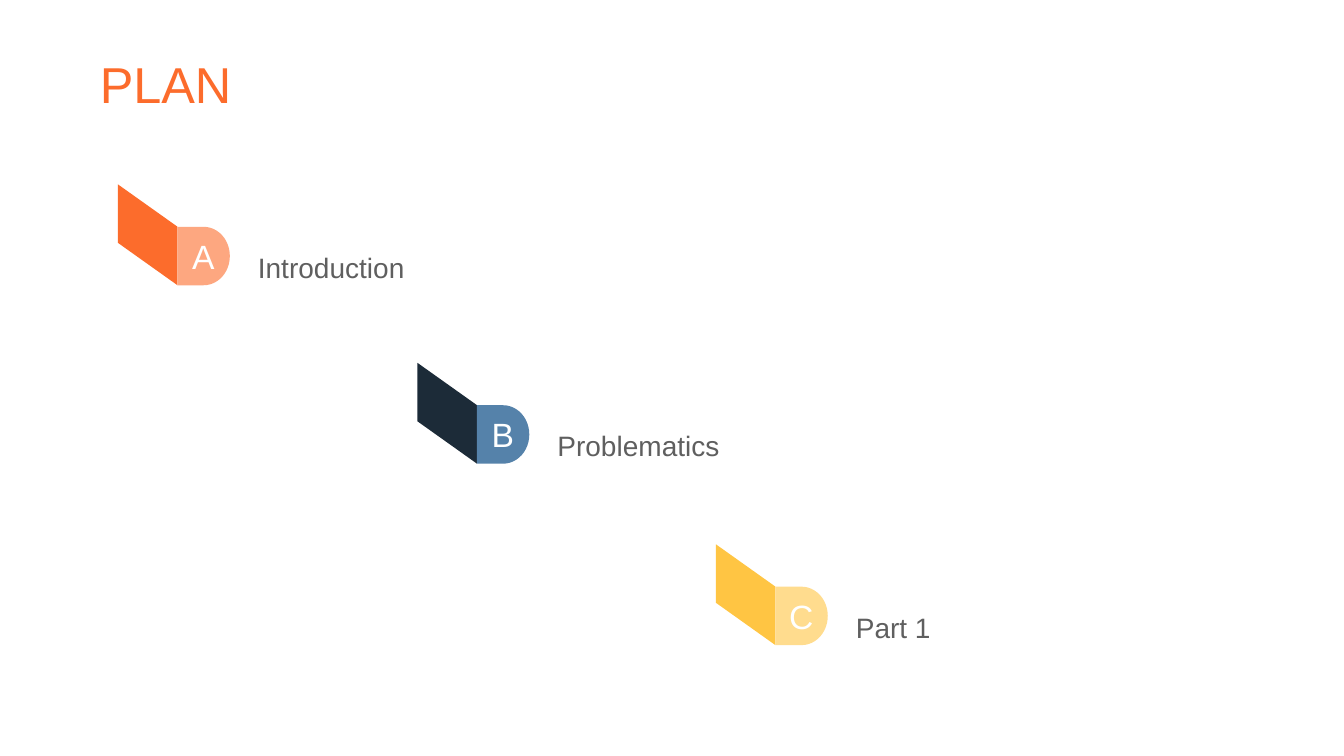
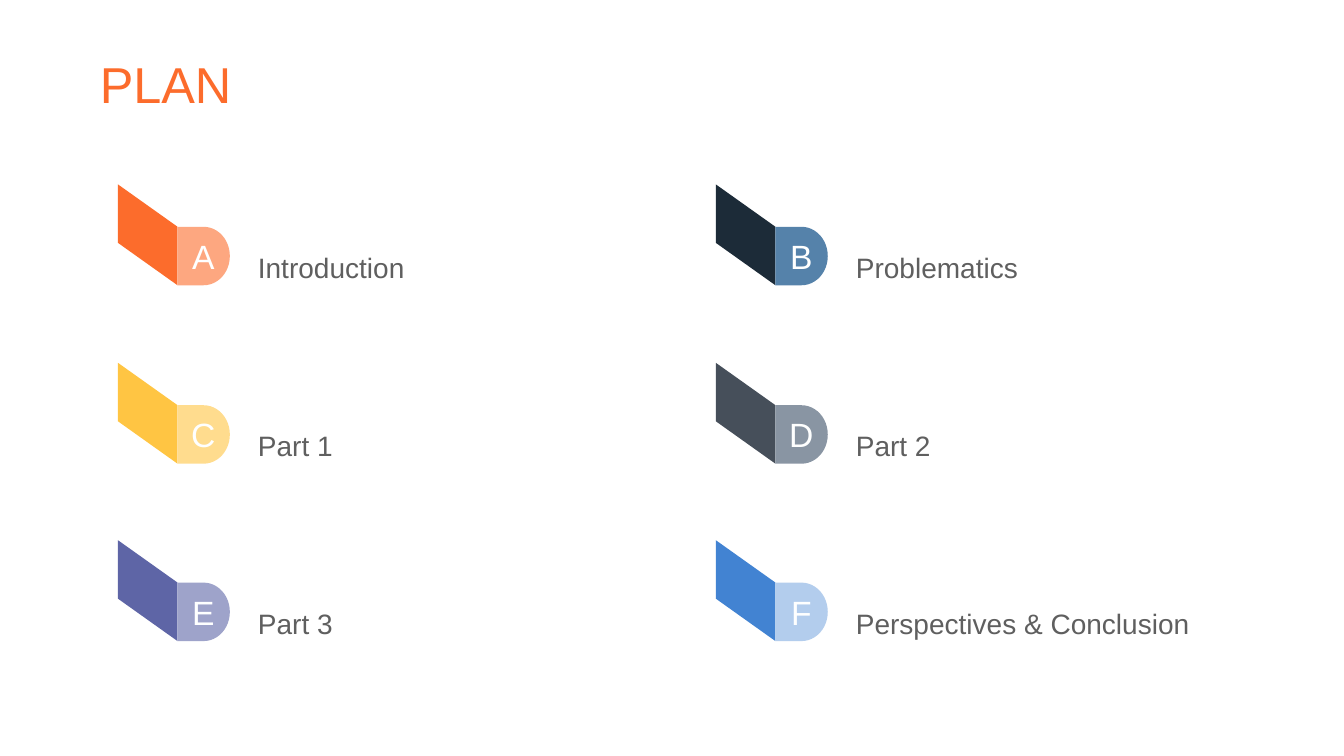
from pptx import Presentation
from pptx.dml.color import RGBColor
from pptx.enum.shapes import MSO_SHAPE
from pptx.enum.text import MSO_ANCHOR, PP_ALIGN
from pptx.util import Inches, Pt

DELAY = MSO_SHAPE.FLOWCHART_DELAY
MIDDLE = MSO_ANCHOR.MIDDLE
LEFT, CENTER = PP_ALIGN.LEFT, PP_ALIGN.CENTER

COLORS = {
    "title": "FC6C2C", "label": "5F5F5F", "letter": "FEFFFF",
    "A": "FC6C2C", "A tab": "FDA780",
    "B": "1C2B38", "B tab": "5582AA",
    "C": "FFC543", "C tab": "FFDC8E",
    "D": "464F5A", "D tab": "8995A3",
    "E": "5E65A6", "E tab": "9EA3CA",
    "F": "4283D2", "F tab": "B3CDED",
}

# Insets run left, top, right, bottom.
STYLES = {
    "title": {"size": 36, "line": 0.9, "align": LEFT, "wrap": True,
              "inset": (0.07, 0.04, 0.07, 0.04)},
    "label": {"size": 20, "line": 1.5, "align": LEFT, "wrap": True,
              "inset": (0.1, 0.05, 0.1, 0.05)},
    "letter": {"size": 24, "line": 1.0, "align": CENTER, "wrap": False,
               "inset": (0.07, 0, 0, 0)},
}

FOLD_W, TAB_W, TAB_H, DROP = 0.59, 0.52, 0.58, 0.42
LEFT_X, MID_X, RIGHT_X = 1.17, 4.14, 7.1
ROWS = (1.83, 3.6, 5.36)

STEPS = [
    ("A", "Introduction", LEFT_X, ROWS[0]),
    ("B", "Problematics", MID_X, ROWS[1]),
    ("C", "Part 1", RIGHT_X, 5.4),
]
GRID = ["Introduction", "Problematics", "Part 1", "Part 2", "Part 3",
        "Perspectives & Conclusion"]


def rgb(name):
    return RGBColor.from_string(COLORS[name])


def box(*sizes):
    return [Inches(size) for size in sizes]


def write(shape, text, name):
    """Fill a shape with one line of text in a named style."""
    style = STYLES[name]
    frame = shape.text_frame
    para = frame.paragraphs[0]
    run = para.add_run()
    run.text = text
    run.font.color.rgb = rgb(name)
    left, top, right, bottom = box(*style["inset"])
    formats = [
        (frame, {"word_wrap": style["wrap"], "vertical_anchor": MIDDLE,
                 "margin_left": left, "margin_top": top,
                 "margin_right": right, "margin_bottom": bottom}),
        (para, {"alignment": style["align"], "line_spacing": style["line"]}),
        (run.font, {"name": "Arial", "size": Pt(style["size"])}),
    ]
    for target, values in formats:
        for key, value in values.items():
            setattr(target, key, value)


def paint(shape, name):
    shape.fill.solid()
    shape.fill.fore_color.rgb = rgb(name)
    shape.line.fill.background()
    shape.shadow.inherit = False


def add_item(slide, letter, text, x, y):
    """Draw a slanted fold, its lettered tab and a label from the corner x, y."""
    shapes = slide.shapes.add_group_shape().shapes
    tab_x, tab_y = x + FOLD_W, y + DROP

    pen = shapes.build_freeform(*box(x, y))
    pen.add_line_segments([
        box(tab_x, tab_y),
        box(tab_x, tab_y + TAB_H),
        box(x, y + TAB_H),
    ])
    paint(pen.convert_to_shape(), letter)

    tab = shapes.add_shape(DELAY, *box(tab_x, tab_y, TAB_W, TAB_H))
    paint(tab, f"{letter} tab")
    write(tab, letter, "letter")

    label = shapes.add_textbox(*box(x + 1.29, y + 0.26, 3.77, 0.95))
    write(label, text, "label")


def add_plan(deck, items):
    slide = deck.slides.add_slide(deck.slide_layouts[6])
    for item in items:
        add_item(slide, *item)
    title = slide.shapes.add_textbox(*box(0.92, 0.4, 11.5, 0.94))
    write(title, "PLAN", "title")


def main():
    deck = Presentation()
    deck.slide_width, deck.slide_height = box(13.33, 7.5)
    add_plan(deck, STEPS)
    cells = [(x, y) for y in ROWS for x in (LEFT_X, RIGHT_X)]
    add_plan(deck, [(letter, text, *cell)
                    for letter, text, cell in zip("ABCDEF", GRID, cells)])
    deck.save("out.pptx")


if __name__ == "__main__":
    main()
